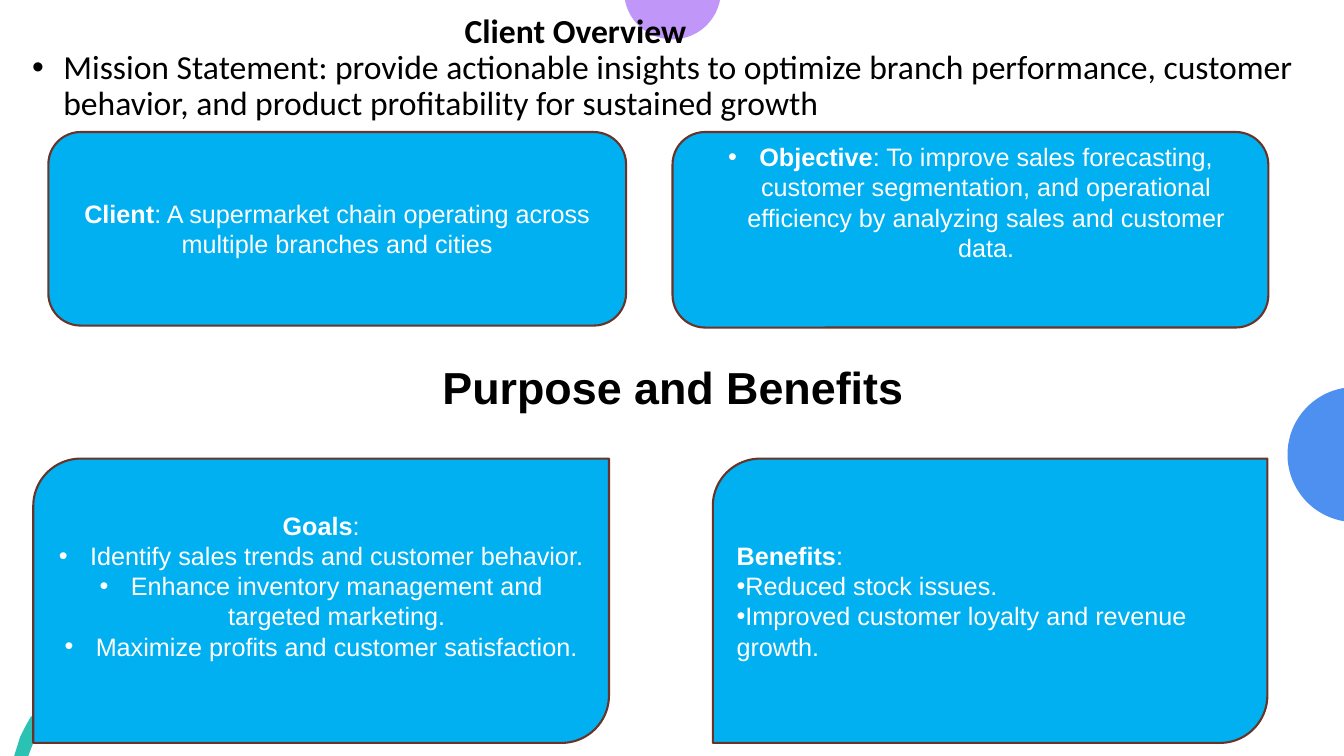
import math

from lxml import etree
from pptx import Presentation
from pptx.dml.color import RGBColor
from pptx.enum import shapes, text
from pptx.oxml import ns
from pptx.util import Inches, Pt

BLACK = RGBColor(0x00, 0x00, 0x00)
WHITE = RGBColor(0xFF, 0xFF, 0xFF)
SKY = RGBColor(0x00, 0xB0, 0xF0)
BROWN = RGBColor(0x68, 0x34, 0x2A)
PURPLE = RGBColor(0xC0, 0x97, 0xF8)
GREEN = RGBColor(0x2B, 0xC2, 0xB4)
BLUE = RGBColor(0x4D, 0x90, 0xEF)

CENTER = text.PP_ALIGN.CENTER
LEFT = text.PP_ALIGN.LEFT
MIDDLE = text.MSO_ANCHOR.MIDDLE
TOP = text.MSO_ANCHOR.TOP
HANGING = 0.31


class SlideBuilder:
    def __init__(self, slide, font="Arial", size=18):
        self.slide = slide
        self.font = font
        self.size = size

    def outline(self, points, color):
        """Draw a closed, filled polygon through points given in inches."""
        points = [(Inches(x), Inches(y)) for x, y in points]
        builder = self.slide.shapes.build_freeform(*points[0])
        builder.add_line_segments(points[1:], close=True)
        shape = builder.convert_to_shape()
        shape.shadow.inherit = False
        shape.fill.solid()
        shape.fill.fore_color.rgb = color
        shape.line.fill.background()

    def circle_segment(self, center, radius, start, end, color):
        """Draw the part of a circle between two angles, closed by its chord."""
        steps = 60
        angles = [math.radians(start + (end - start) * i / steps)
                  for i in range(steps + 1)]
        x, y = center
        self.outline([(x + radius * math.cos(a), y + radius * math.sin(a))
                      for a in angles], color)

    def text_box(self, left, top, width, height):
        box = self.slide.shapes.add_textbox(
            Inches(left), Inches(top), Inches(width), Inches(height))
        box.text_frame.word_wrap = True
        return box.text_frame

    def card(self, kind, left, top, width, height, anchor=MIDDLE):
        shape = self.slide.shapes.add_shape(
            kind, Inches(left), Inches(top), Inches(width), Inches(height))
        shape.shadow.inherit = False
        shape.fill.solid()
        shape.fill.fore_color.rgb = SKY
        shape.line.color.rgb = BROWN
        shape.line.width = Pt(1.5)
        frame = shape.text_frame
        frame.word_wrap = True
        frame.vertical_anchor = anchor
        return frame

    def paragraph(self, frame, runs, color=WHITE, align=LEFT, margin=0,
                  bullet=False, hanging=0, font=None, size=None, spacing=None):
        """Add a paragraph of (words, bold) runs, using the first empty one."""
        paragraph = frame.paragraphs[0]
        if paragraph.runs:
            paragraph = frame.add_paragraph()
        paragraph.alignment = align
        if spacing:
            paragraph.line_spacing = spacing
        properties = paragraph._p.get_or_add_pPr()
        properties.set("marL", str(Inches(margin + hanging)))
        properties.set("indent", str(-Inches(hanging)))
        if bullet:
            bullet_font = etree.SubElement(properties, ns.qn("a:buFont"))
            bullet_font.set("typeface", "Arial")
            etree.SubElement(properties, ns.qn("a:buChar")).set("char", "•")
        for words, bold in runs:
            run = paragraph.add_run()
            run.text = words
            run.font.name = font or self.font
            run.font.size = Pt(size or self.size)
            run.font.bold = bold
            run.font.color.rgb = color


def add_decorations(builder):
    builder.circle_segment((6.67, -0.09), 0.48, 11, 169, PURPLE)
    builder.outline([(0.36, 7.09), (0.33, 7.09), (0.3, 7.12), (0.25, 7.21),
                     (0.2, 7.31), (0.14, 7.5), (0.28, 7.5), (0.33, 7.37),
                     (0.37, 7.28), (0.42, 7.19), (0.42, 7.13), (0.39, 7.1)],
                    GREEN)
    builder.circle_segment((13.44, 4.51), 0.67, 99, 261, BLUE)


def add_overview(builder):
    title = builder.text_box(0.22, 0.08, 13.11, 1.2)
    title.vertical_anchor = MIDDLE
    style = dict(color=BLACK, font="Calibri", size=24, spacing=0.9)
    builder.paragraph(title, [("Client Overview", True)], margin=4.29, **style)
    builder.paragraph(
        title,
        [("Mission Statement: provide actionable insights to optimize branch "
          "performance, customer behavior, and product profitability for "
          "sustained growth", False)],
        bullet=True, hanging=HANGING, **style)

    rounded = shapes.MSO_SHAPE.ROUNDED_RECTANGLE
    client = builder.card(rounded, 0.48, 1.31, 5.73, 1.92)
    builder.paragraph(
        client,
        [("Client", True),
         (": A supermarket chain operating across multiple branches and cities",
          False)],
        align=CENTER)

    objective = builder.card(rounded, 6.67, 1.31, 5.91, 1.94, anchor=TOP)
    objective.margin_top = 0
    builder.paragraph(
        objective,
        [("Objective", True),
         (": To improve sales forecasting, customer segmentation, and "
          "operational efficiency by analyzing sales and customer data.",
          False)],
        align=CENTER, bullet=True, hanging=HANGING)


def add_purpose(builder):
    diagonal = shapes.MSO_SHAPE.ROUND_2_DIAG_RECTANGLE
    goals = builder.card(diagonal, 0.33, 4.55, 5.71, 2.82)
    goals.margin_bottom = Inches(0.35)
    builder.paragraph(goals, [("Goals", True), (":", False)], align=CENTER)
    for goal in ("Identify sales trends and customer behavior.",
                 "Enhance inventory management and targeted marketing.",
                 "Maximize profits and customer satisfaction."):
        builder.paragraph(goals, [(goal, False)], align=CENTER, bullet=True,
                          hanging=HANGING)

    benefits = builder.card(diagonal, 7.07, 4.55, 5.5, 2.82)
    builder.paragraph(benefits, [("Benefits", True), (":", False)])
    for benefit in ("Reduced stock issues.",
                    "Improved customer loyalty and revenue growth."):
        builder.paragraph(benefits, [(benefit, False)], bullet=True)

    heading = builder.text_box(4.29, 3.52, 5.52, 0.64)
    builder.paragraph(heading, [("Purpose and Benefits", True)],
                      color=BLACK, size=32)


def main():
    presentation = Presentation()
    presentation.slide_width = Inches(13.33)
    presentation.slide_height = Inches(7.5)
    slide = presentation.slides.add_slide(presentation.slide_layouts[6])
    builder = SlideBuilder(slide)
    add_decorations(builder)
    add_overview(builder)
    add_purpose(builder)
    presentation.save("out.pptx")


if __name__ == "__main__":
    main()
